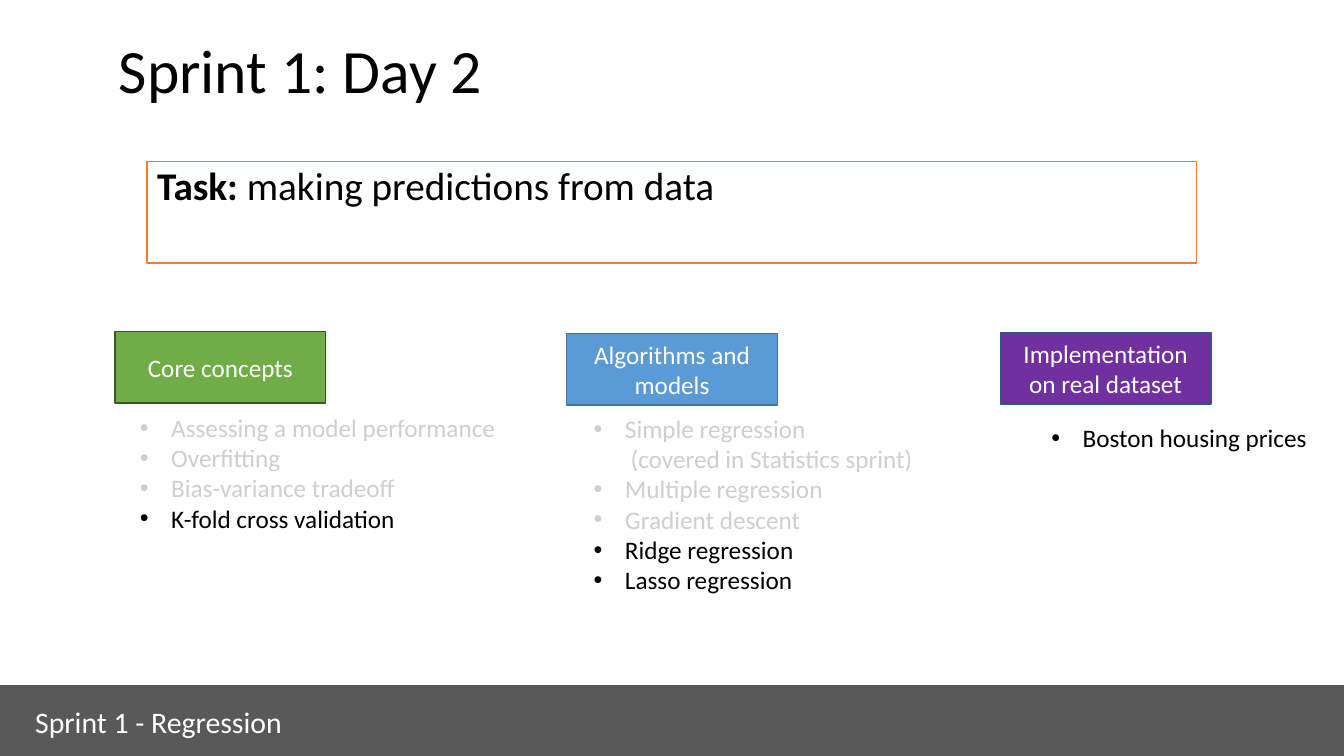
from lxml.etree import SubElement
from pptx import Presentation
from pptx.dml.color import RGBColor
from pptx.enum.shapes import MSO_SHAPE as Shape
from pptx.enum.text import MSO_ANCHOR as Anchor, PP_ALIGN as Align
from pptx.oxml.ns import qn
from pptx.util import Inches, Pt

WIDTH, HEIGHT = 13.33, 7.5
FONT = "Calibri"
BLACK, WHITE, FADED, FOOTER_GREY = "000000", "FFFFFF", "D0CECE", "595959"
BULLET_INDENT = 0.31
HEADING_WIDTH, HEADING_HEIGHT = 2.09, 0.71

TOPICS = [
    dict(heading="Core concepts", fill="70AD47", line="385723",
         at=(1.14, 3.29), list_offset=(0.15, 0.75), list_size=(3.8, 1.31),
         covered=["Assessing a model performance", "Overfitting",
                  "Bias-variance tradeoff"],
         today=["K-fold cross validation"]),
    dict(heading="Algorithms and models", fill="5B9BD5", line="43739E",
         at=(5.62, 3.31), list_offset=(0.17, 0.74), list_size=(3.65, 2.22),
         covered=["Simple regression\n (covered in Statistics sprint)",
                  "Multiple regression", "Gradient descent"],
         today=["Ridge regression", "Lasso regression"]),
    dict(heading="Implementation on real dataset", fill="7030A0", line="325491",
         at=(9.92, 3.3), list_offset=(0.41, 0.84), list_size=(2.86, 0.4),
         covered=[], today=["Boston housing prices"]),
]


def color(hex_string):
    """Turn a hex string into a colour."""
    return RGBColor.from_string(hex_string)


def add_bullet(paragraph):
    """Give a paragraph a hanging round bullet."""
    properties = paragraph._p.get_or_add_pPr()
    properties.set("marL", str(Inches(BULLET_INDENT)))
    properties.set("indent", str(-Inches(BULLET_INDENT)))
    SubElement(properties, qn("a:buFont")).set("typeface", "Arial")
    SubElement(properties, qn("a:buChar")).set("char", "•")


def write(frame, text, size=18, fill=BLACK, bold=False, align=Align.LEFT,
          anchor=Anchor.TOP, bullet=False, spacing=None, paragraph=None):
    """Write formatted text into a paragraph of a frame and return the paragraph."""
    frame.word_wrap = True
    frame.vertical_anchor = anchor
    paragraph = paragraph or frame.paragraphs[0]
    if bullet:
        add_bullet(paragraph)
    paragraph.alignment = align
    if spacing:
        paragraph.line_spacing = spacing
    for number, line in enumerate(text.split("\n")):
        if number:
            paragraph.add_line_break()
        run = paragraph.add_run()
        run.text = line
        run.font.name, run.font.size, run.font.bold = FONT, Pt(size), bold
        run.font.color.rgb = color(fill)
    return paragraph


def add_text_box(slide, box):
    """Add a text box and return its frame."""
    return slide.shapes.add_textbox(*map(Inches, box)).text_frame


def add_panel(slide, box, fill, line):
    """Add a flat outlined rectangle and return its frame."""
    panel = slide.shapes.add_shape(Shape.RECTANGLE, *map(Inches, box))
    panel.shadow.inherit = False
    panel.fill.solid()
    panel.fill.fore_color.rgb = color(fill)
    panel.line.color.rgb = color(line)
    panel.line.width = Pt(1)
    return panel.text_frame


def add_title(slide, box):
    """Place the slide title."""
    write(add_text_box(slide, box), "Sprint 1: Day 2", size=44,
          anchor=Anchor.MIDDLE, spacing=0.9)


def add_task(slide, box):
    """Place the framed task statement."""
    task = add_panel(slide, box, WHITE, "ED7D31")
    statement = write(task, "Task: ", size=28, bold=True, spacing=0.9)
    write(task, "making predictions from data", size=28, spacing=0.9,
          paragraph=statement)


def add_footer(slide, box):
    """Place the footer band and its label."""
    left, top, width, height = box
    add_panel(slide, box, FOOTER_GREY, FOOTER_GREY)
    label = add_text_box(slide, (left + 0.25, top + 0.13, width / 4, height - 0.24))
    write(label, "Sprint 1 - Regression", size=21.3, fill=WHITE)


def add_topic(slide, box, topic):
    """Place a topic heading in the box and its bullet list below."""
    left, top, _, _ = box
    heading = add_panel(slide, box, topic["fill"], topic["line"])
    write(heading, topic["heading"], fill=WHITE, align=Align.CENTER,
          anchor=Anchor.MIDDLE)
    shift, drop = topic["list_offset"]
    items = add_text_box(slide, (left + shift, top + drop, *topic["list_size"]))
    entries = [(text, FADED) for text in topic["covered"]]
    entries += [(text, BLACK) for text in topic["today"]]
    for number, (text, fill) in enumerate(entries):
        paragraph = items.add_paragraph() if number else items.paragraphs[0]
        write(items, text, fill=fill, bullet=True, paragraph=paragraph)


def main():
    """Build and save the slide."""
    deck = Presentation()
    deck.slide_width, deck.slide_height = Inches(WIDTH), Inches(HEIGHT)
    slide = deck.slides.add_slide(deck.slide_layouts[6])
    add_title(slide, (1.08, 0, 11.5, 1.45))
    add_task(slide, (1.46, 1.6, 10.41, 1.01))
    add_footer(slide, (0, 6.8, WIDTH, 0.7))
    for topic in TOPICS:
        add_topic(slide, (*topic["at"], HEADING_WIDTH, HEADING_HEIGHT), topic)
    deck.save("out.pptx")


if __name__ == "__main__":
    main()
